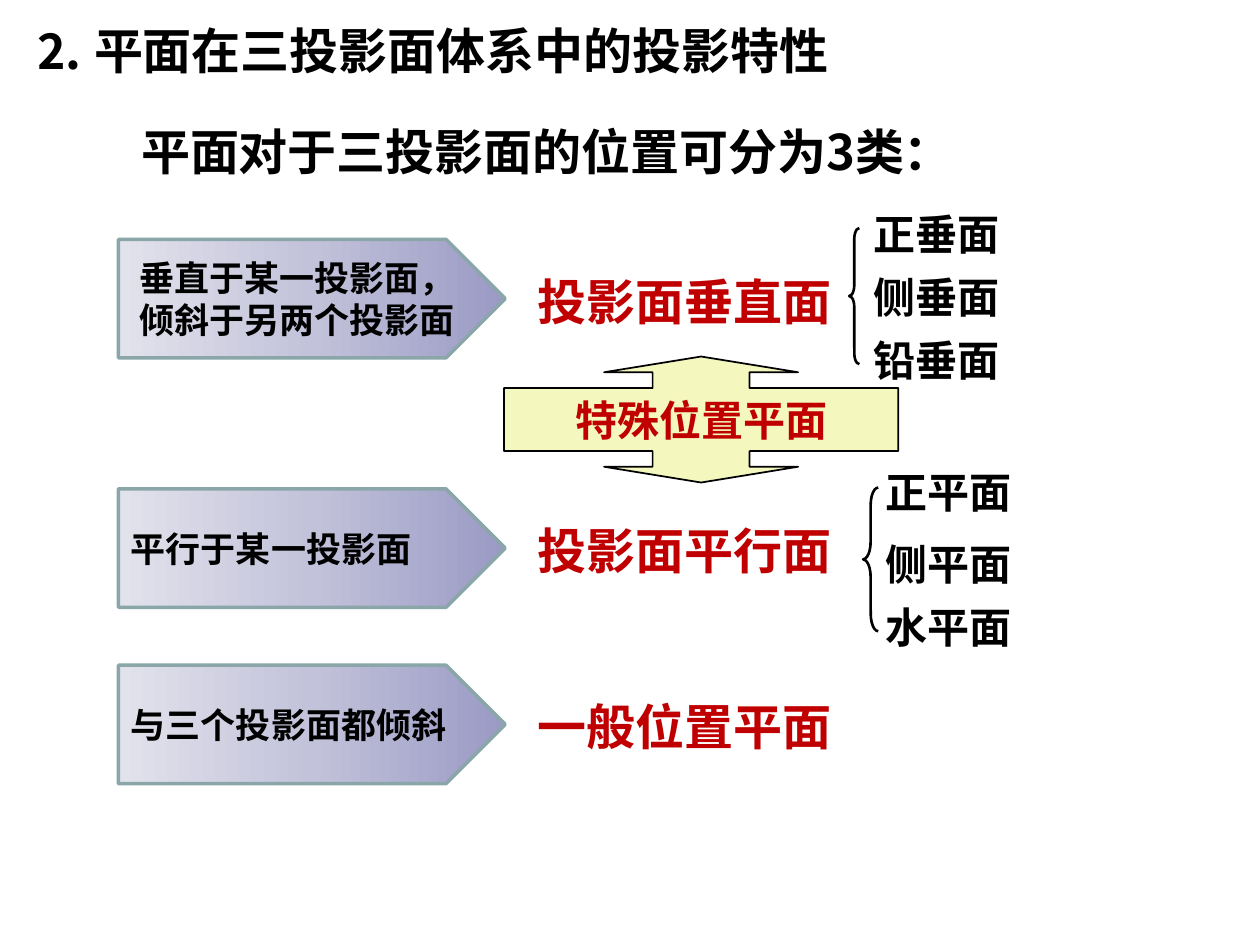
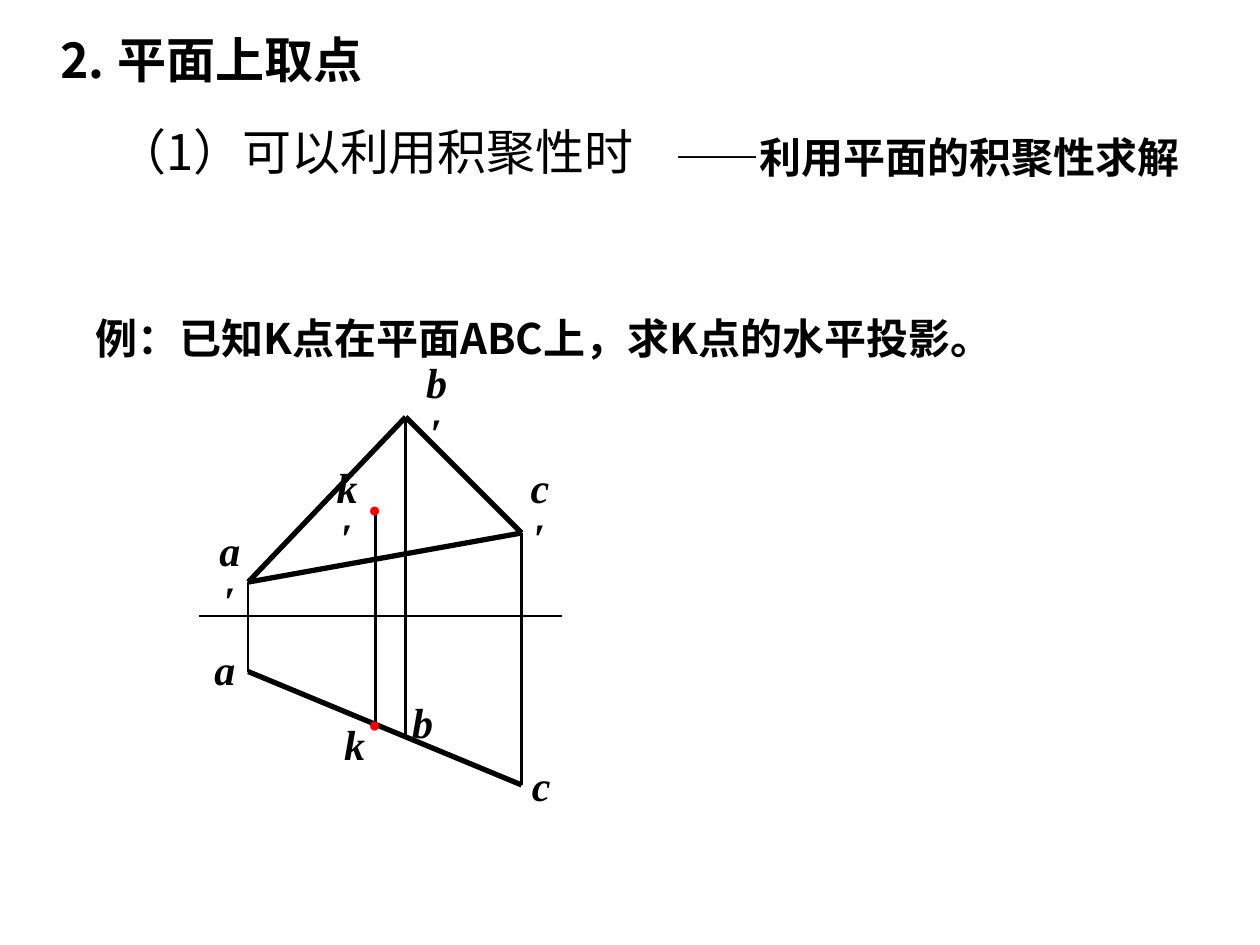
import copy

import pptx
import pptx.dml.color
import pptx.enum.shapes
import pptx.enum.text
import pptx.oxml
import pptx.oxml.ns
import pptx.util

PX = 9144
COLORS = {
    "ink": "000000",
    "accent": "C00000",
    "dot": "FF0000",
    "callout": "F4F8BE",
    "plate_line": "8AA6A8",
    "plate_dark": "9A9AC5",
    "plate_mid": "C2C2DA",
    "plate_light": "E2E2EC",
}
CJK = "Noto Sans CJK SC"
SERIF = "Times New Roman"
SANS = "Arial"
SHAPES = pptx.enum.shapes.MSO_SHAPE
ALIGN = pptx.enum.text.PP_ALIGN
MIDDLE = pptx.enum.text.MSO_ANCHOR.MIDDLE


def rgb(color):
    return pptx.dml.color.RGBColor.from_string(COLORS[color])


def emu(*lengths):
    return [length * PX for length in lengths]


def add_span(para, text, size, font=CJK, color="ink", bold=True, italic=False):
    span = para.add_run()
    span.text = text
    span.font.size = pptx.util.Pt(size)
    span.font.name = font
    span.font.bold = bold
    span.font.italic = italic
    span.font.color.rgb = rgb(color)
    if any("一" <= letter <= "龥" for letter in text):
        east = pptx.oxml.parse_xml(
            f'<a:ea {pptx.oxml.ns.nsdecls("a")} typeface="{CJK}"/>')
        span.font.element.find(pptx.oxml.ns.qn("a:latin")).addnext(east) \
            if hasattr(span.font, "element") else \
            span._r.rPr.find(pptx.oxml.ns.qn("a:latin")).addnext(east)


def prepare_text(shape, align=ALIGN.LEFT, wrap=True, inset=10):
    frame = shape.text_frame
    frame.word_wrap = wrap
    frame.auto_size = pptx.enum.text.MSO_AUTO_SIZE.NONE
    frame.vertical_anchor = MIDDLE
    frame.margin_left = inset * PX
    para = frame.paragraphs[0]
    para.alignment = align
    return para


def add_text(page, box, text, size, align=ALIGN.LEFT, wrap=True, inset=10, **style):
    shape = page.shapes.add_textbox(*emu(*box))
    para = prepare_text(shape, align, wrap, inset)
    add_span(para, text, size, **style)
    return shape


def add_preset(page, kind, box, line, width):
    shape = page.shapes.add_shape(kind, *emu(*box))
    shape.shadow.inherit = False
    shape.line.color.rgb = rgb(line)
    shape.line.width = pptx.util.Pt(width)
    return shape


def add_line(page, start, end, width):
    line = page.shapes.add_connector(
        pptx.enum.shapes.MSO_CONNECTOR.STRAIGHT, *emu(*start, *end))
    line.line.color.rgb = rgb("ink")
    line.line.width = pptx.util.Pt(width)
    line.element.spPr.append(
        pptx.oxml.parse_xml(f'<a:effectLst {pptx.oxml.ns.nsdecls("a")}/>'))


def fill_placeholder(shape, box, text, bold=True):
    shape.left, shape.top, shape.width, shape.height = emu(*box)
    para = prepare_text(shape)
    properties = para._p.get_or_add_pPr()
    properties.set("marL", "0")
    properties.set("indent", "0")
    properties.append(
        pptx.oxml.parse_xml(f'<a:buNone {pptx.oxml.ns.nsdecls("a")}/>'))
    para.space_before = pptx.util.Pt(0)
    add_span(para, text, 28, bold=bold)


def add_page(deck, title, title_box, lead, lead_box, lead_bold):
    page = deck.slides.add_slide(deck.slide_layouts[1])
    fill_placeholder(page.shapes.title, title_box, title)
    fill_placeholder(page.placeholders[1], lead_box, lead, lead_bold)
    return page


def add_category(page, left, top, condition, align, name):
    plate = add_preset(page, SHAPES.PENTAGON, (left, top, 307, 94), "plate_line", 2)
    plate.fill.gradient()
    plate.fill.gradient_angle = 180
    stops = plate.element.spPr.find(
        pptx.oxml.ns.qn("a:gradFill")).find(pptx.oxml.ns.qn("a:gsLst"))
    stops.insert(1, copy.deepcopy(stops[0]))
    tints = ("plate_dark", "plate_mid", "plate_light")
    for index, (stop, tint) in enumerate(zip(plate.fill.gradient_stops, tints)):
        stop.position = index / 2
        stop.color.rgb = rgb(tint)
    add_span(prepare_text(plate, align), condition, 20, SANS)
    add_text(page, (left + 323, top + 20, 295, 57), name, 28,
             font=SERIF, color="accent")


def add_kinds(page, left, top, kinds, brace_box, bend):
    for offset, kind in kinds:
        add_text(page, (left, top + offset, 160, 51), kind, 24, inset=18, font=SERIF)
    x, y, width, height = brace_box
    brace = add_preset(page, SHAPES.LEFT_BRACE,
                       (left + x, top + y, width, height), "ink", 1.5)
    brace.fill.background()
    brace.adjustments[0] = bend


def add_special_callout(page, box):
    callout = add_preset(page, SHAPES.UP_DOWN_ARROW_CALLOUT, box, "ink", 1)
    callout.fill.solid()
    callout.fill.fore_color.rgb = rgb("callout")
    for index, value in enumerate((0.77, 0.77, 0.125, 0.5)):
        callout.adjustments[index] = value
    add_span(prepare_text(callout, ALIGN.CENTER), "特殊位置平面", 24, SANS,
             color="accent")


def add_point_label(page, left, top, name, width):
    primed = name.endswith("′")
    shape = add_text(page, (left, top, width, 50), name[0], 24, ALIGN.CENTER,
                     wrap=primed, inset=12 if primed else 10,
                     font=SERIF, italic=True)
    if primed:
        shape.text_frame.margin_right = 12 * PX
        add_span(shape.text_frame.paragraphs[0], "′", 24, SERIF)


def add_projection(page, left, top):
    places = {
        "a′": (47, 172), "b′": (172, 41), "c′": (264, 133), "k′": (148, 114),
        "a": (47, 243), "b": (172, 294), "c": (264, 333), "k": (148, 288),
    }
    points = {name: (left + x, top + y) for name, (x, y) in places.items()}
    for start, end in (("a′", "c′"), ("a′", "b′"), ("b′", "c′"), ("a", "c")):
        add_line(page, points[start], points[end], 3)
    for name in "abck":
        add_line(page, points[name + "′"], points[name], 1.5)
    add_line(page, (left + 8, top + 199), (left + 296, top + 199), 1.5)
    labels = (
        ("a′", 10, 141, 45), ("b′", 174, 8, 45), ("c′", 257, 91, 43),
        ("k′", 103, 91, 45), ("a", 10, 216, 37), ("b", 167, 258, 37),
        ("c", 262, 308, 35), ("k", 113, 275, 37),
    )
    for name, x, y, width in labels:
        add_point_label(page, left + x, top + y, name, width)
    for y in (99, 270):
        add_text(page, (left + 129, top + y, 37, 30), "●", 12, ALIGN.CENTER,
                 wrap=False, font=SERIF, color="dot")


def build_classes(deck):
    page = add_page(deck, "⒉ 平面在三投影面体系中的投影特性", (17, 11, 869, 57),
                    "平面对于三投影面的位置可分为3类：", (102, 91, 803, 57), True)
    categories = (
        (190, "垂直于某一投影面，倾斜于另两个投影面", ALIGN.CENTER, "投影面垂直面"),
        (388, "平行于某一投影面", ALIGN.LEFT, "投影面平行面"),
        (528, "与三个投影面都倾斜", ALIGN.LEFT, "一般位置平面"),
    )
    for category in categories:
        add_category(page, 94, *category)
    add_special_callout(page, (400, 283, 313, 100))
    add_kinds(page, 675, 160, ((0, "正垂面"), (50, "侧垂面"), (100, "铅垂面")),
              (-1, 21, 8, 108), 1.08)
    add_kinds(page, 685, 365, ((0, "正平面"), (57, "侧平面"), (107, "水平面")),
              (0, 22, 12, 114), 1.17)


def build_point(deck):
    page = add_page(deck, "⒉ 平面上取点", (36, 18, 370, 57),
                    "（1）可以利用积聚性时", (83, 91, 543, 57), False)
    add_text(page, (66, 243, 886, 50),
             "例：已知K点在平面ABC上，求K点的水平投影。", 24)
    add_projection(page, 150, 290)
    answer = add_text(page, (516, 99, 441, 50), "——", 24, ALIGN.CENTER, font=SERIF)
    add_span(answer.text_frame.paragraphs[0], "利用平面的积聚性求解", 24)


def main():
    deck = pptx.Presentation()
    deck.slide_width, deck.slide_height = emu(1000, 750)
    build_classes(deck)
    build_point(deck)
    deck.save("out.pptx")


if __name__ == "__main__":
    main()
